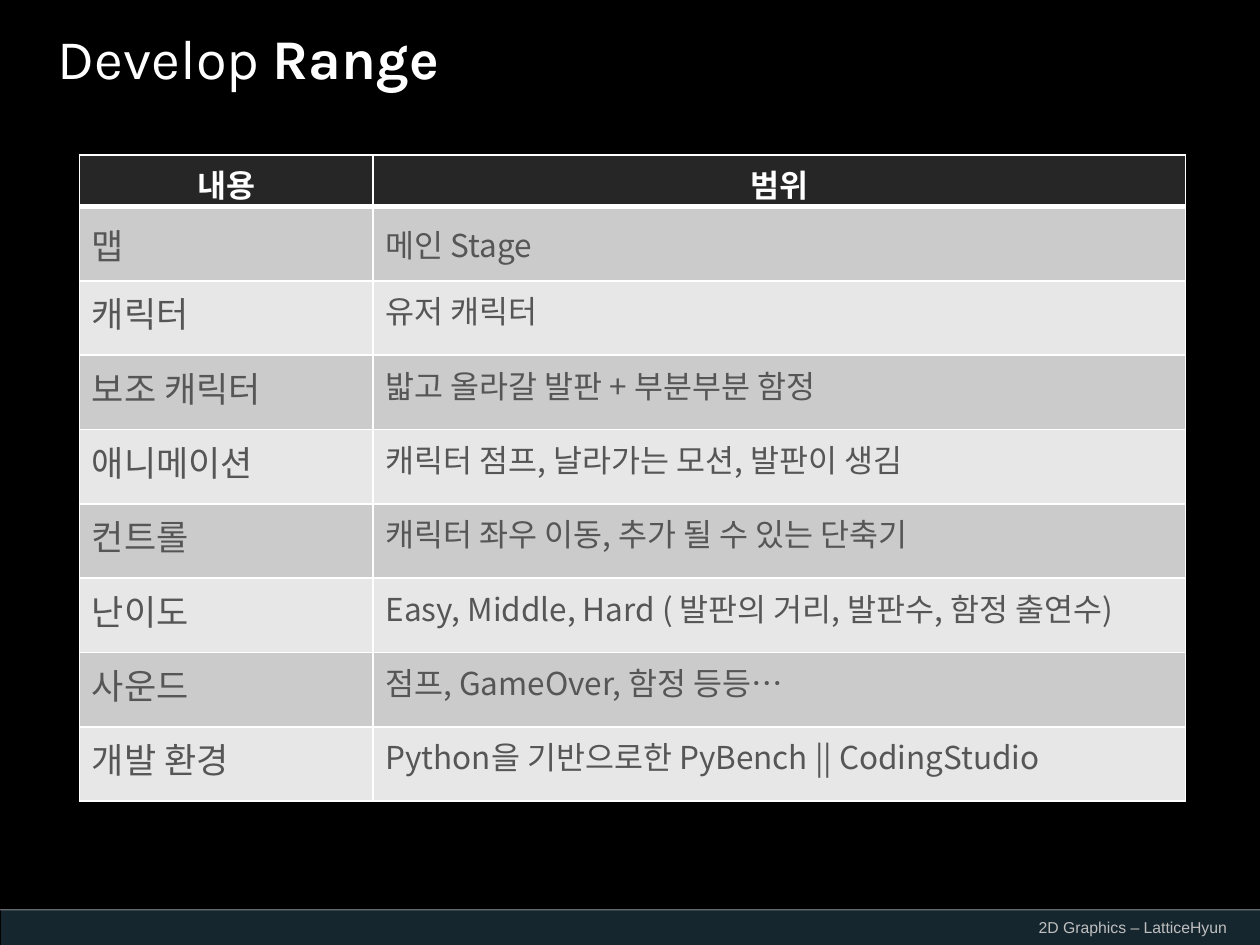
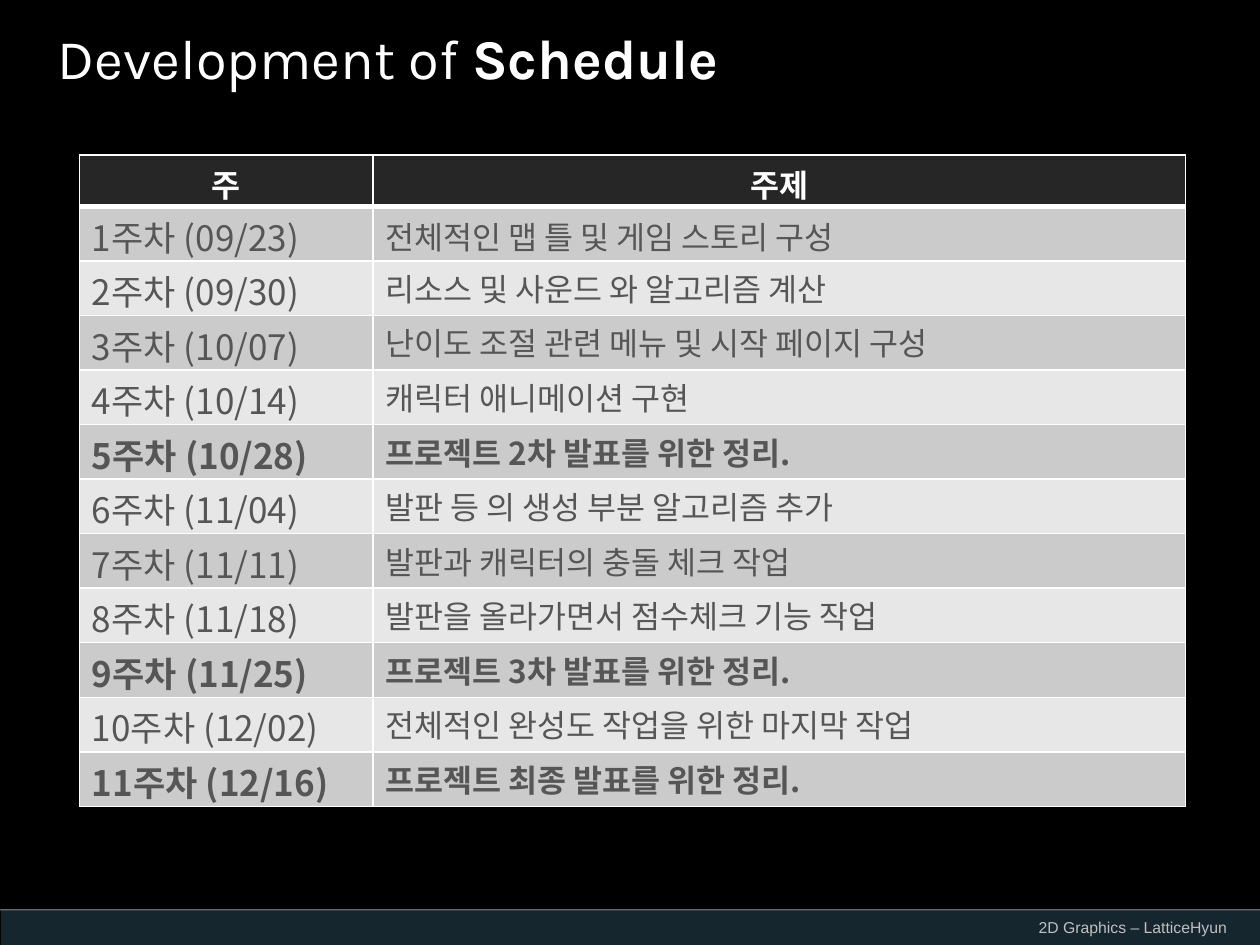
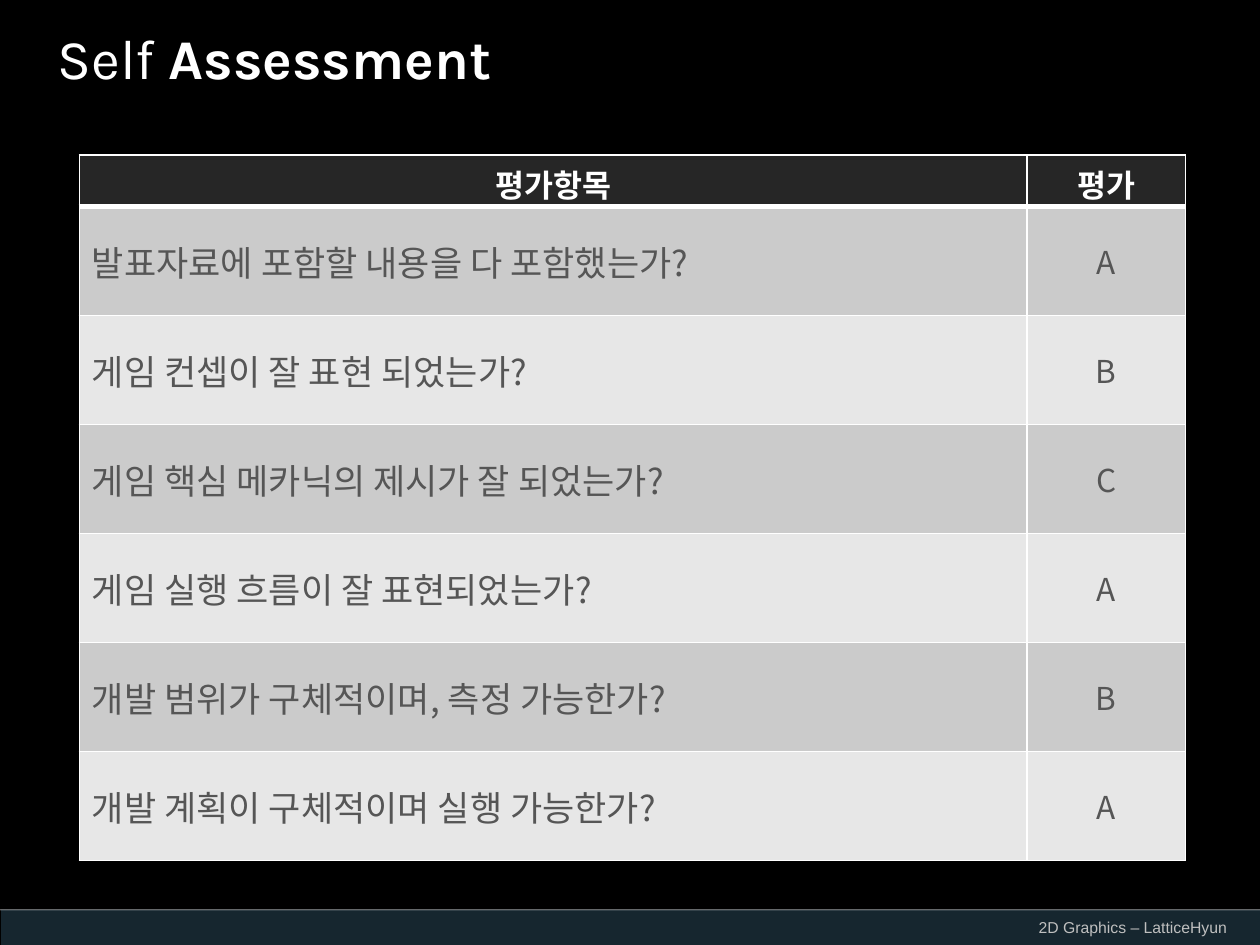
import pptx
import pptx.dml.color
import pptx.enum.shapes
import pptx.enum.text
import pptx.oxml.ns
import pptx.util
from lxml import etree

ALIGN = pptx.enum.text.PP_ALIGN
ANCHOR = pptx.enum.text.MSO_ANCHOR
qn = pptx.oxml.ns.qn


def rgb(value):
    return pptx.dml.color.RGBColor.from_string(value)


def assign(target, values):
    for name, value in values.items():
        setattr(target, name, value)


class Deck:
    """Holds the shared style and the current slide on a 100 by 75 grid."""

    WHITE, BLACK, BODY = "FFFFFF", "000000", "565656"
    HEADER, BANDS = "262626", ("CBCBCB", "E7E7E7")
    BAND, RULE, FOOTER = "16262F", "F2F2F2", "BFBFBF"
    TITLE_FONT, TABLE_FONT, FOOTER_FONT = "Karla", "Noto Sans CJK KR", "Arial"
    COLUMNS, ROWS = 100, 75

    def __init__(self):
        self.prs = pptx.Presentation()
        assign(self.prs, {"slide_width": pptx.util.Inches(10),
                          "slide_height": pptx.util.Inches(7.5)})
        self.s = None

    def x(self, columns):
        return round(self.prs.slide_width * columns / self.COLUMNS)

    def y(self, rows):
        return round(self.prs.slide_height * rows / self.ROWS)

    def box(self, left, top, width, height):
        return self.x(left), self.y(top), self.x(width), self.y(height)

    def slide(self, plain, strong):
        self.s = self.prs.slides.add_slide(self.prs.slide_layouts[6])
        fill = self.s.background.fill
        fill.solid()
        fill.fore_color.rgb = rgb(self.BLACK)
        self.footer("2D Graphics – LatticeHyun")
        self.text((3.6, 1.3, 72.2, 6.4), [(plain, False), (strong, True)],
                  32, self.TITLE_FONT, self.WHITE)

    def footer(self, text):
        sp = self.s.shapes.add_shape(pptx.enum.shapes.MSO_SHAPE.RECTANGLE,
                                     *self.box(0.1, 72.2, 99.9, 2.8))
        sp.shadow.inherit = False
        sp.fill.solid()
        sp.fill.fore_color.rgb = rgb(self.BAND)
        sp.line.fill.background()
        self.rule(72.2)
        self.text((79.9, 72.3, 20, 2.5), [(text, False)], 9,
                  self.FOOTER_FONT, self.FOOTER, ALIGN.CENTER)

    def rule(self, row):
        line = self.s.shapes.add_connector(
            pptx.enum.shapes.MSO_CONNECTOR.STRAIGHT,
            0, self.y(row), self.x(self.COLUMNS), self.y(row))
        line.line.color.rgb = rgb(self.RULE)
        line.line.width = pptx.util.Pt(0.75)
        pr = line._element.spPr
        color = pr.find(".//" + qn("a:srgbClr"))
        etree.SubElement(color, qn("a:alpha"), val="40000")
        etree.SubElement(pr, qn("a:effectLst"))

    def run(self, p, text, size, font, color, bold):
        r = p.add_run()
        r.text = text
        assign(r.font, {"size": pptx.util.Pt(size), "name": font, "bold": bold})
        r.font.color.rgb = rgb(color)
        etree.SubElement(r._r.get_or_add_rPr(), qn("a:ea"), typeface=font)

    def text(self, place, runs, size, font, color, align=ALIGN.LEFT):
        tf = self.s.shapes.add_textbox(*self.box(*place)).text_frame
        assign(tf, {"word_wrap": True, "vertical_anchor": ANCHOR.MIDDLE})
        p = tf.paragraphs[0]
        p.alignment = align
        for text, bold in runs:
            self.run(p, text, size, font, color, bold)

    def borders(self, cell, widths):
        pr = cell._tc.get_or_add_tcPr()
        for i, (side, width) in enumerate(widths.items()):
            ln = etree.Element(qn("a:ln" + side), w=str(pptx.util.Pt(width)))
            fill = etree.SubElement(ln, qn("a:solidFill"))
            etree.SubElement(fill, qn("a:srgbClr"), val=self.WHITE)
            pr.insert(i, ln)

    def cell(self, cell, text, fill, size, color, bold, align, anchor, pads):
        cell.fill.solid()
        cell.fill.fore_color.rgb = rgb(fill)
        assign(cell, {"vertical_anchor": anchor,
                      "margin_top": self.y(pads[0]),
                      "margin_bottom": self.y(pads[1])})
        p = cell.text_frame.paragraphs[0]
        p.alignment = align
        self.run(p, text, size, self.TABLE_FONT, color, bold)

    def table(self, widths, height, header, rows, pads=(0.5, 0.5),
              strong=(), graded=False):
        heights = [4.1] + [height] * len(rows)
        table = self.s.shapes.add_table(
            len(heights), len(widths),
            *self.box(6.3, 12.3, sum(widths), sum(heights))).table
        table.horz_banding = False
        for column, width in zip(table.columns, widths):
            column.width = self.x(width)
        for row, size in zip(table.rows, heights):
            row.height = self.y(size)
        for j, text in enumerate(header):
            cell = table.cell(0, j)
            self.cell(cell, text, self.HEADER, 18, self.WHITE, True,
                      ALIGN.CENTER, ANCHOR.TOP, (0.5, 0))
            self.borders(cell, {"L": 1, "R": 1, "T": 1, "B": 3})
        for i, row in enumerate(rows, 1):
            anchor = ANCHOR.MIDDLE if graded or i == 1 else ANCHOR.TOP
            for j, text in enumerate(row):
                cell = table.cell(i, j)
                align = ALIGN.CENTER if graded and j else ALIGN.LEFT
                self.cell(cell, text, self.BANDS[(i - 1) % 2], 18 if j else 20,
                          self.BODY, i in strong, align, anchor, pads)
                self.borders(cell, {"L": 1, "R": 1, "T": 3 if i == 1 else 1,
                                    "B": 1})


deck = Deck()

deck.slide("Develop ", "Range")
deck.table((23.3, 64.5), 5.9, ("내용", "범위"), [
    ("맵", "메인 Stage"),
    ("캐릭터", "유저 캐릭터"),
    ("보조 캐릭터", "밟고 올라갈 발판 + 부분부분 함정"),
    ("애니메이션", "캐릭터 점프, 날라가는 모션, 발판이 생김"),
    ("컨트롤", "캐릭터 좌우 이동, 추가 될 수 있는 단축기"),
    ("난이도", "Easy, Middle, Hard ( 발판의 거리, 발판수, 함정 출연수)"),
    ("사운드", "점프, GameOver, 함정 등등…"),
    ("개발 환경", "Python을 기반으로한 PyBench || CodingStudio"),
])

deck.slide("Development of ", "Schedule")
deck.table((23.3, 64.5), 4.33, ("주", "주제"), [
    ("1주차 (09/23)", "전체적인 맵 틀 및 게임 스토리 구성"),
    ("2주차 (09/30)", "리소스 및 사운드 와 알고리즘 계산"),
    ("3주차 (10/07)", "난이도 조절 관련 메뉴 및 시작 페이지 구성"),
    ("4주차 (10/14)", "캐릭터 애니메이션 구현"),
    ("5주차 (10/28)", "프로젝트 2차 발표를 위한 정리."),
    ("6주차 (11/04)", "발판 등 의 생성 부분 알고리즘 추가"),
    ("7주차 (11/11)", "발판과 캐릭터의 충돌 체크 작업"),
    ("8주차 (11/18)", "발판을 올라가면서 점수체크 기능 작업"),
    ("9주차 (11/25)", "프로젝트 3차 발표를 위한 정리."),
    ("10주차 (12/02)", "전체적인 완성도 작업을 위한 마지막 작업"),
    ("11주차 (12/16)", "프로젝트 최종 발표를 위한 정리."),
], pads=(0.3, 0), strong=(5, 9, 11))

deck.slide("Self ", "Assessment")
deck.table((75.2, 12.6), 8.65, ("평가항목", "평가"), [
    ("발표자료에 포함할 내용을 다 포함했는가?", "A"),
    ("게임 컨셉이 잘 표현 되었는가?", "B"),
    ("게임 핵심 메카닉의 제시가 잘 되었는가?", "C"),
    ("게임 실행 흐름이 잘 표현되었는가?", "A"),
    ("개발 범위가 구체적이며, 측정 가능한가?", "B"),
    ("개발 계획이 구체적이며 실행 가능한가?", "A"),
], graded=True)

deck.prs.save("out.pptx")
